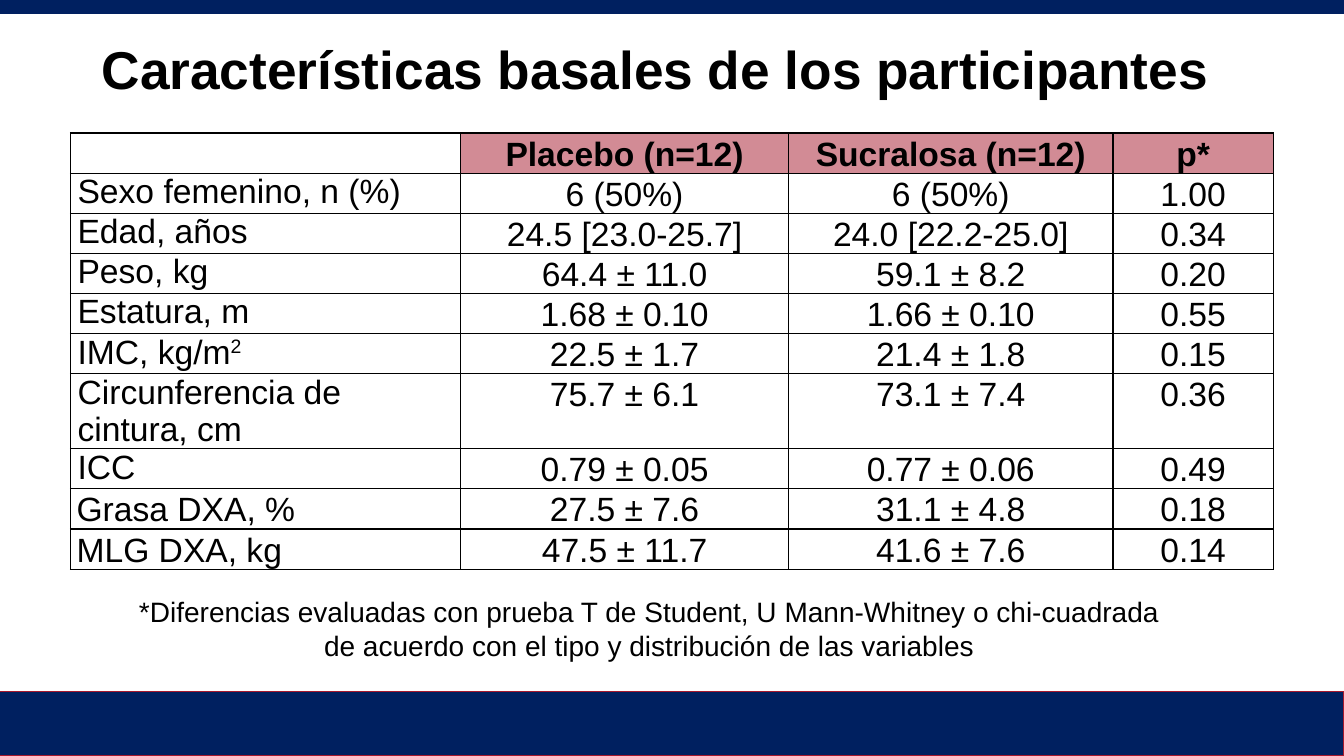
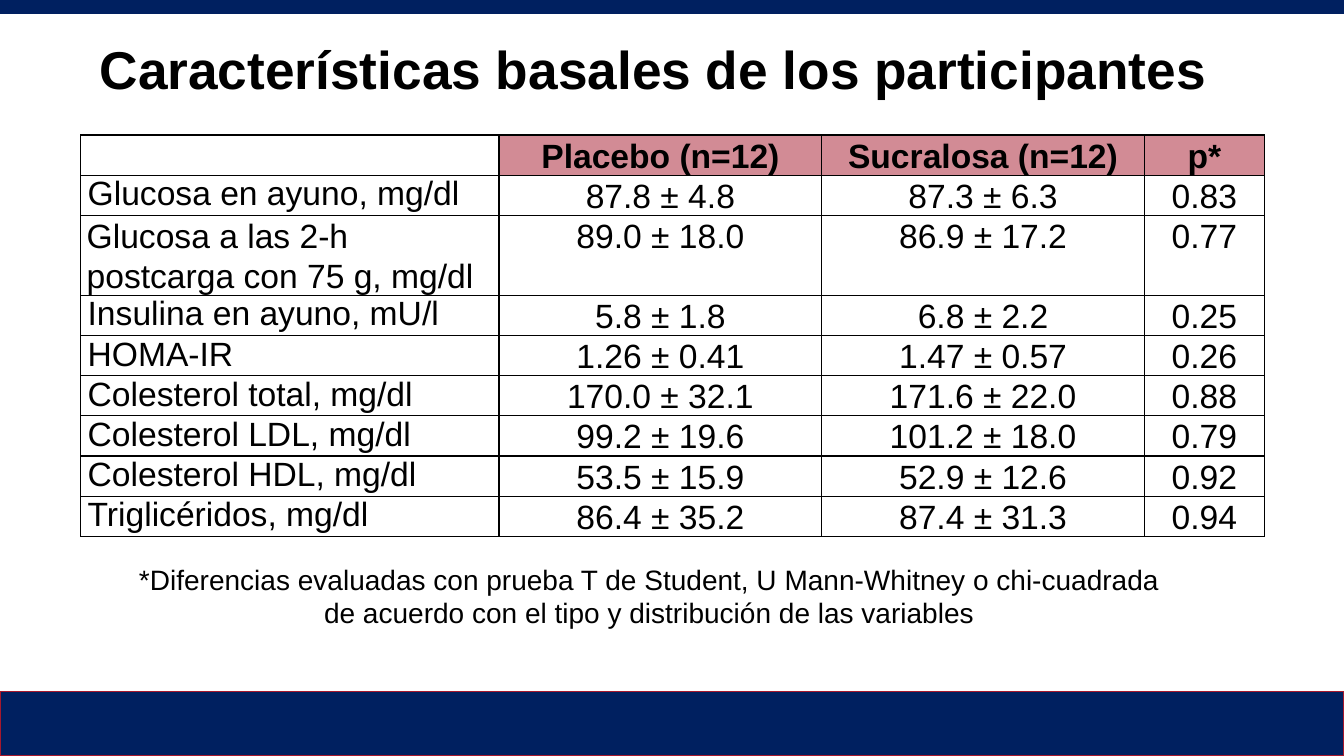
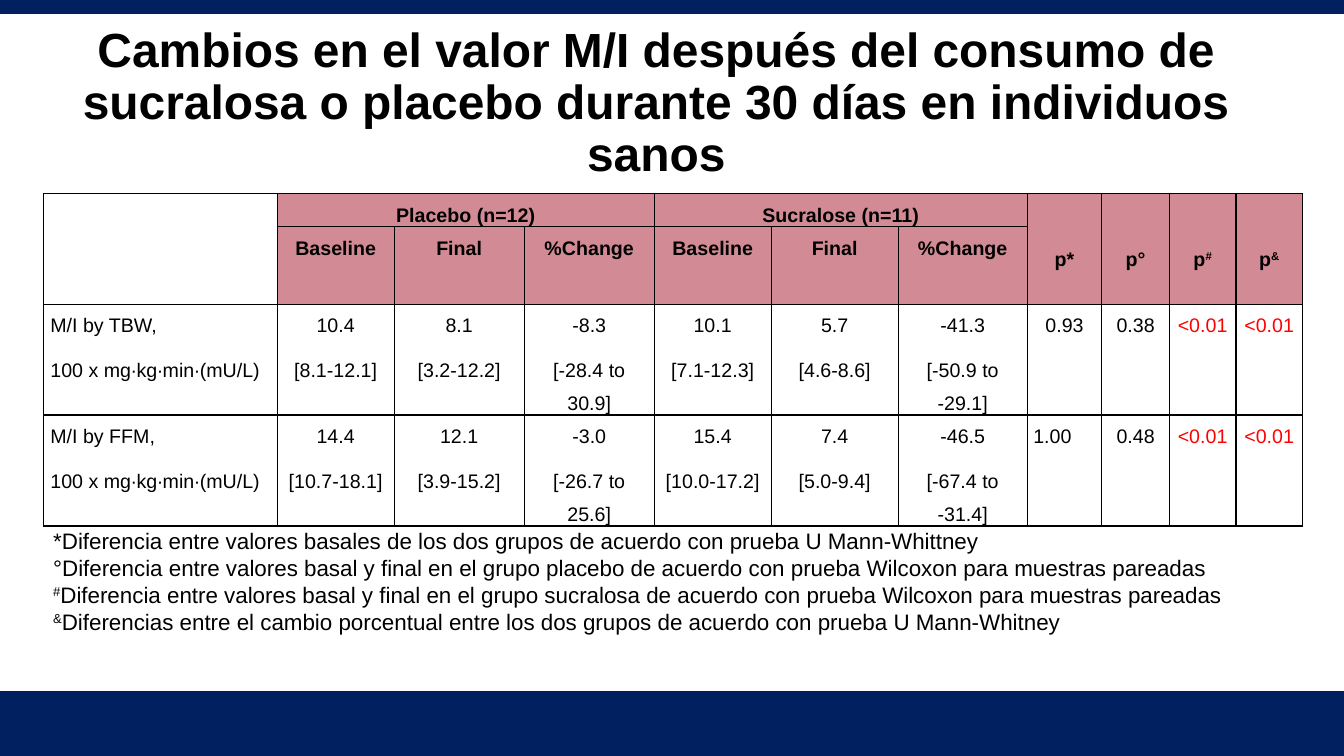
import pptx
import pptx.dml.color
import pptx.enum.shapes
import pptx.enum.text
import pptx.oxml
import pptx.oxml.ns
import pptx.util

Inches = pptx.util.Inches
Pt = pptx.util.Pt
ALIGN = pptx.enum.text.PP_ALIGN
ANCHOR = pptx.enum.text.MSO_ANCHOR

FONT = "Arial"
NAVY, CRIMSON, BLACK, RED = "002060", "A6192D", "000000", "FF0000"
SLIDE_WIDTH, SLIDE_HEIGHT = 13.33, 7.5

# Text between two ^ marks is superscript; \n starts a new paragraph.
BASELINE_TITLE = "Características basales de los participantes"
BASELINE_NOTE = ("*Diferencias evaluadas con prueba T de Student, U Mann-Whitney o chi-cuadrada "
                 "de acuerdo con el tipo y distribución de las variables")
GROUPS = ("", "Placebo (n=12)", "Sucralosa (n=12)", "p*")
SPACED_LABELS = ("Grasa DXA, %", "MLG DXA, kg", "Glucosa a las 2-h postcarga con 75 g, mg/dl")

BODY_ROWS = [
    GROUPS,
    ("Sexo femenino, n (%)", "6 (50%)", "6 (50%)", "1.00"),
    ("Edad, años", "24.5 [23.0-25.7]", "24.0 [22.2-25.0]", "0.34"),
    ("Peso, kg", "64.4 ± 11.0", "59.1 ± 8.2", "0.20"),
    ("Estatura, m", "1.68 ± 0.10", "1.66 ± 0.10", "0.55"),
    ("IMC, kg/m^2^", "22.5 ± 1.7", "21.4 ± 1.8", "0.15"),
    ("Circunferencia de cintura, cm", "75.7 ± 6.1", "73.1 ± 7.4", "0.36"),
    ("ICC", "0.79 ± 0.05", "0.77 ± 0.06", "0.49"),
    ("Grasa DXA, %", "27.5 ± 7.6", "31.1 ± 4.8", "0.18"),
    ("MLG DXA, kg", "47.5 ± 11.7", "41.6 ± 7.6", "0.14"),
]
BLOOD_ROWS = [
    GROUPS,
    ("Glucosa en ayuno, mg/dl", "87.8 ± 4.8", "87.3 ± 6.3", "0.83"),
    ("Glucosa a las 2-h postcarga con 75 g, mg/dl", "89.0 ± 18.0", "86.9 ± 17.2", "0.77"),
    ("Insulina en ayuno, mU/l", "5.8 ± 1.8", "6.8 ± 2.2", "0.25"),
    ("HOMA-IR", "1.26 ± 0.41", "1.47 ± 0.57", "0.26"),
    ("Colesterol total, mg/dl", "170.0 ± 32.1", "171.6 ± 22.0", "0.88"),
    ("Colesterol LDL, mg/dl", "99.2 ± 19.6", "101.2 ± 18.0", "0.79"),
    ("Colesterol HDL, mg/dl", "53.5 ± 15.9", "52.9 ± 12.6", "0.92"),
    ("Triglicéridos, mg/dl", "86.4 ± 35.2", "87.4 ± 31.3", "0.94"),
]
BASELINE_SLIDES = [
    dict(title_left=0.75, table_at=(0.7, 1.32), widths=(3.87, 3.25, 3.22, 1.59),
         rows=BODY_ROWS, note_top=5.85, band_left=-0.05),
    dict(title_left=0.73, table_at=(0.8, 1.34), widths=(4.15, 3.2, 3.2, 1.19),
         rows=BLOOD_ROWS, note_top=5.53, band_left=0),
]

CHANGE_TITLE = ("Cambios en el valor M/I después del consumo de sucralosa o placebo "
                "durante 30 días en individuos sanos")
CHANGE_WIDTHS = (2.32, 1.16, 1.29, 1.29, 1.16, 1.26, 1.28, 0.74, 0.67, 0.66, 0.66)
CHANGE_HEIGHTS = (0.33, 0.76, 1.1, 1.1)
MEASURES = ("Baseline", "Final", "%Change")
CHANGE_ROWS = [
    ("", "Placebo (n=12)", "", "", "Sucralose (n=11)", "", "", "p*", "p°", "p^#^", "p^&^"),
    ("", *MEASURES, *MEASURES, "", "", "", ""),
    ("M/I by TBW,\n100 x mg∙kg∙min∙(mU/L)", "10.4\n[8.1-12.1]", "8.1\n[3.2-12.2]",
     "-8.3\n[-28.4 to 30.9]", "10.1\n[7.1-12.3]", "5.7\n[4.6-8.6]", "-41.3\n[-50.9 to -29.1]",
     "0.93", "0.38", "<0.01", "<0.01"),
    ("M/I by FFM,\n100 x mg∙kg∙min∙(mU/L)", "14.4\n[10.7-18.1]", "12.1\n[3.9-15.2]",
     "-3.0\n[-26.7 to 25.6]", "15.4\n[10.0-17.2]", "7.4\n[5.0-9.4]", "-46.5\n[-67.4 to -31.4]",
     "1.00", "0.48", "<0.01", "<0.01"),
]
CHANGE_NOTES = (
    "*Diferencia entre valores basales de los dos grupos de acuerdo con prueba U Mann-Whittney\n"
    "°Diferencia entre valores basal y final en el grupo placebo de acuerdo con prueba Wilcoxon para muestras pareadas\n"
    "^#^Diferencia entre valores basal y final en el grupo sucralosa de acuerdo con prueba Wilcoxon para muestras pareadas\n"
    "^&^Diferencias entre el cambio porcentual entre los dos grupos de acuerdo con prueba U Mann-Whitney")


def rgb(value):
    return pptx.dml.color.RGBColor.from_string(value)


def write(frame, text, size, align=ALIGN.LEFT, bold=False, color=BLACK, spacing=1.0, gap=0):
    """Fill a text frame; gap is the space in points before later paragraphs."""
    for number, line in enumerate(text.split("\n")):
        para = frame.add_paragraph() if number else frame.paragraphs[0]
        para.alignment = align
        para.line_spacing = spacing
        para.space_before = Pt(gap if number else 0)
        for index, piece in enumerate(line.split("^")):
            if not piece:
                continue
            span = para.add_run()
            span.text = piece
            span.font.name = FONT
            span.font.size = Pt(size)
            span.font.bold = bold
            span.font.color.rgb = rgb(color)
            if index % 2:
                span.font._element.set("baseline", "30000")


def add_band(page, left, top, height, edge):
    band = page.shapes.add_shape(pptx.enum.shapes.MSO_SHAPE.RECTANGLE, Inches(left), Inches(top),
                                 Inches(SLIDE_WIDTH - left), Inches(height))
    band.shadow.inherit = False
    band.fill.solid()
    band.fill.fore_color.rgb = rgb(NAVY)
    band.line.color.rgb = rgb(edge)
    band.line.width = Pt(1)


def start_page(deck, title, left, top, width, size, band_left=0, edge=CRIMSON):
    """Add a slide with its title and the two bands."""
    page = deck.slides.add_slide(deck.slide_layouts[5])
    add_band(page, 0, 0.01, 0.12, NAVY)
    add_band(page, band_left, 6.86, 0.64, edge)
    box = page.shapes.title
    box.left, box.top, box.width, box.height = map(Inches, (left, top, width, 0.9))
    frame = box.text_frame
    frame.word_wrap = True
    frame.auto_size = pptx.enum.text.MSO_AUTO_SIZE.NONE
    frame.vertical_anchor = ANCHOR.MIDDLE
    write(frame, title, size, ALIGN.CENTER, bold=True, spacing=0.9)
    return page


def add_note(page, text, left, top, width, height, size, align):
    box = page.shapes.add_textbox(*map(Inches, (left, top, width, height)))
    box.text_frame.word_wrap = True
    write(box.text_frame, text, size, align)


def paint_cell(cell, shaded):
    """Black borders on every side, and a half-transparent fill if shaded."""
    if shaded:
        cell.fill.solid()
        cell.fill.fore_color.rgb = rgb(CRIMSON)
    else:
        cell.fill.background()
    properties = cell._tc.get_or_add_tcPr()
    for color in properties.iter(pptx.oxml.ns.qn("a:srgbClr")):
        pptx.oxml.ns.qn("a:alpha")
        color.append(pptx.oxml.parse_xml(
            f'<a:alpha {pptx.oxml.ns.nsdecls("a")} val="50000"/>'))
    for index, side in enumerate("LRTB"):
        properties.insert(index, pptx.oxml.parse_xml(
            f'<a:ln{side} {pptx.oxml.ns.nsdecls("a")} w="12700"><a:solidFill>'
            f'<a:srgbClr val="{BLACK}"/></a:solidFill></a:ln{side}>'))


def add_grid(page, at, widths, heights, rows, size, spacing, header_rows=1, label_spacing=None):
    """Add a table; label_spacing is the line spacing of ordinary row labels."""
    left, top = at
    frame = page.shapes.add_table(len(rows), len(widths), Inches(left), Inches(top),
                                  Inches(sum(widths)), Inches(sum(heights)))
    table = frame.table
    table.first_row = table.horz_banding = False
    for column, width in zip(table.columns, widths):
        column.width = Inches(width)
    for row, height in zip(table.rows, heights):
        row.height = Inches(height)
    for r, row in enumerate(rows):
        for c, text in enumerate(row):
            cell = table.cell(r, c)
            header = r < header_rows
            plain_label = c == 0 and text not in SPACED_LABELS
            cell.margin_left = cell.margin_right = Inches(0.07 if plain_label else 0.06)
            cell.margin_top = cell.margin_bottom = 0
            paint_cell(cell, header and c > 0)
            write(cell.text_frame, text, size, ALIGN.CENTER if c else ALIGN.LEFT, bold=header,
                  color=RED if text.startswith("<") else BLACK,
                  spacing=label_spacing if plain_label and label_spacing else spacing, gap=8)
    return table


def add_baseline_slide(deck, title_left, table_at, widths, rows, note_top, band_left):
    page = start_page(deck, BASELINE_TITLE, title_left, 0.27, 11.5, 38, band_left)
    add_grid(page, table_at, widths, [0.39] * len(rows), rows, 24, 1.07, label_spacing=1.0)
    add_note(page, BASELINE_NOTE, 1.25, note_top, 10.38, 0.77, 20, ALIGN.CENTER)


def add_change_slide(deck):
    page = start_page(deck, CHANGE_TITLE, 0.21, 0.58, 12.6, 34.2, edge=NAVY)
    table = add_grid(page, (0.43, 1.92), CHANGE_WIDTHS, CHANGE_HEIGHTS, CHANGE_ROWS, 14, 1.5,
                     header_rows=2)
    for first in (1, 4):
        table.cell(0, first).merge(table.cell(0, first + 2))
    for column in (0, 7, 8, 9, 10):
        table.cell(0, column).merge(table.cell(1, column))
        table.cell(0, column).margin_top = Inches(0.44)
    table.cell(3, 7).text_frame.paragraphs[0].alignment = ALIGN.LEFT
    add_note(page, CHANGE_NOTES, 0.43, 5.18, 12.57, 1.21, 16, ALIGN.LEFT)


def main():
    deck = pptx.Presentation()
    deck.slide_width, deck.slide_height = Inches(SLIDE_WIDTH), Inches(SLIDE_HEIGHT)
    for slide in BASELINE_SLIDES:
        add_baseline_slide(deck, **slide)
    add_change_slide(deck)
    deck.save("out.pptx")


if __name__ == "__main__":
    main()
